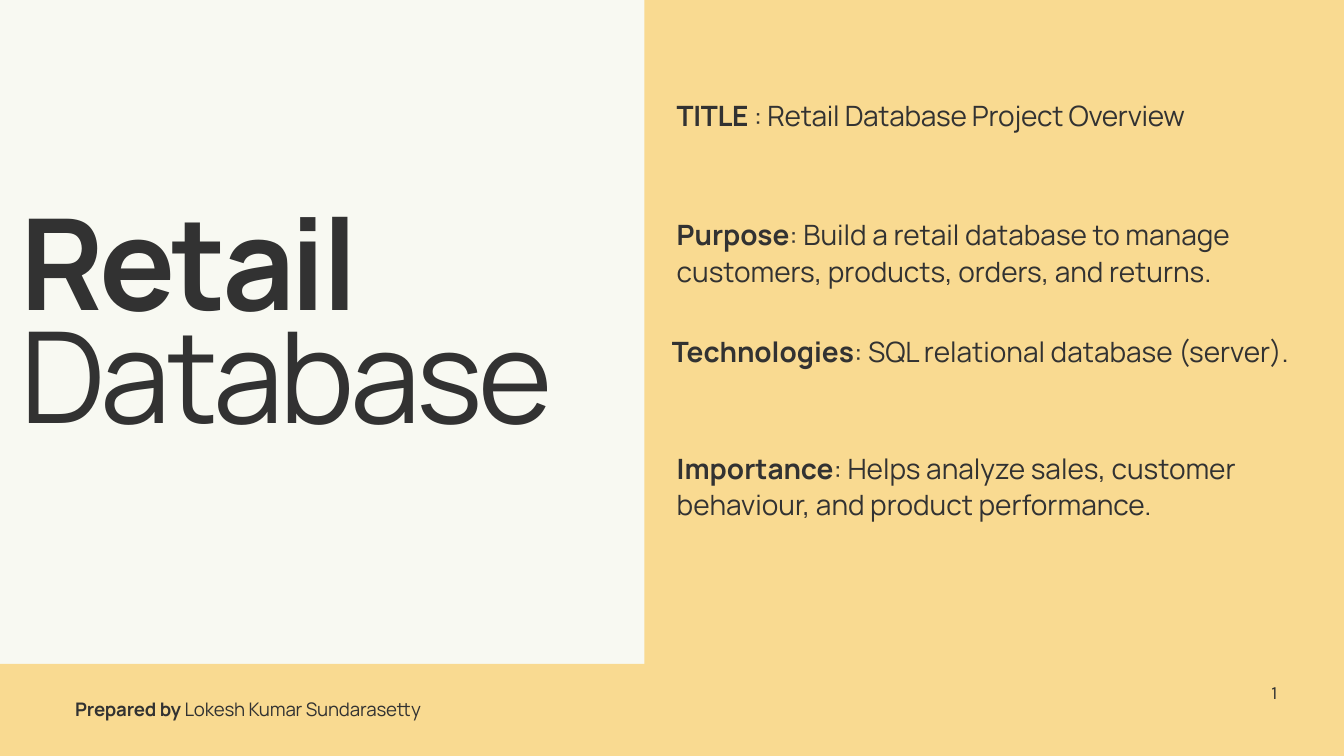
from pptx import Presentation
from pptx.dml.color import RGBColor
from pptx.enum.shapes import MSO_SHAPE
from pptx.enum.text import MSO_ANCHOR, MSO_AUTO_SIZE, PP_ALIGN
from pptx.util import Inches, Pt

WIDTH, HEIGHT = Inches(20), Inches(11.25)
CREAM, SAND, INK = "F8F9F2", "F9DA91", "323232"
SPLIT, FOOTER_TOP = 47.95, 87.82
DETAILS_LEFT = 50.35


def color(hex_code):
    return RGBColor.from_string(hex_code)


def area(left, top, width, height):
    """Turn percentages of the slide's size into lengths."""
    return (round(WIDTH * left / 100), round(HEIGHT * top / 100),
            round(WIDTH * width / 100), round(HEIGHT * height / 100))


def add_band(slide, *place):
    band = slide.shapes.add_shape(MSO_SHAPE.RECTANGLE, *area(*place))
    band.shadow.inherit = False
    band.fill.solid()
    band.fill.fore_color.rgb = color(SAND)
    band.line.fill.background()


def prepare_frame(frame, wrap=True):
    frame.margin_left = frame.margin_top = 0
    frame.margin_right = frame.margin_bottom = 0
    frame.auto_size = MSO_AUTO_SIZE.NONE
    frame.vertical_anchor = MSO_ANCHOR.TOP
    frame.word_wrap = wrap


def add_run(paragraph, text, size, bold=False, spacing=0, font="Manrope"):
    """Add a run; spacing is the letter spacing in points."""
    run = paragraph.add_run()
    run.text = text
    run.font.name = font
    run.font.size = Pt(size)
    run.font.bold = bold
    run.font.color.rgb = color(INK)
    if spacing:
        run._r.get_or_add_rPr().set("spc", str(round(spacing * 100)))


def add_title(slide, bold_line, light_line):
    title = slide.shapes.title
    title.left, title.top, title.width, title.height = area(1.5, 29.51, 45, 32.36)
    frame = title.text_frame
    prepare_frame(frame)
    lines = (frame.paragraphs[0], bold_line, True), (frame.add_paragraph(), light_line, False)
    for paragraph, text, bold in lines:
        paragraph.alignment = PP_ALIGN.LEFT
        paragraph.line_spacing = Pt(121)
        paragraph.space_before = Pt(0)
        add_run(paragraph, text, 135.9, bold, -4.6)


def add_labelled_text(slide, place, label, text, size, leading, spacing=0):
    frame = slide.shapes.add_textbox(*area(*place)).text_frame
    prepare_frame(frame)
    paragraph = frame.paragraphs[0]
    paragraph.line_spacing = Pt(leading)
    add_run(paragraph, label, size, True, spacing)
    add_run(paragraph, text, size, False, spacing)


def add_page_number(slide, number):
    frame = slide.shapes.add_textbox(*area(94.4, 89.51, 0.85, 1.96)).text_frame
    prepare_frame(frame, wrap=False)
    paragraph = frame.paragraphs[0]
    paragraph.alignment = PP_ALIGN.CENTER
    paragraph.line_spacing = Pt(28)
    add_run(paragraph, number, 20, font="Karla")


def main():
    deck = Presentation()
    deck.slide_width, deck.slide_height = WIDTH, HEIGHT
    slide = deck.slides.add_slide(deck.slide_layouts[5])
    slide.background.fill.solid()
    slide.background.fill.fore_color.rgb = color(CREAM)

    add_band(slide, SPLIT, 0, 100 - SPLIT, 100)
    add_band(slide, 0, FOOTER_TOP, 100, 100 - FOOTER_TOP)
    add_title(slide, "Retail", "Database")

    add_labelled_text(slide, (DETAILS_LEFT, 12.27, 44.05, 5.24), "TITLE",
                      " : Retail Database Project Overview", 30, 42, -0.3)
    details = [
        (DETAILS_LEFT, 28.44, 48.35, "Purpose",
         ": Build a retail database to manage customers, products, orders, and returns."),
        (50, 43.91, 47.15, "Technologies", ": SQL relational database (server)."),
        (DETAILS_LEFT, 59.29, 46.45, "Importance",
         ": Helps analyze sales, customer behaviour, and product performance."),
    ]
    for left, top, width, label, text in details:
        add_labelled_text(slide, (left, top, width, 9.51), label, text, 30, 39)

    add_labelled_text(slide, (5.6, 91.82, 29, 3.56), "Prepared by",
                      " Lokesh Kumar Sundarasetty", 20, 28, -0.2)
    add_page_number(slide, "1")
    deck.save("out.pptx")


if __name__ == "__main__":
    main()
